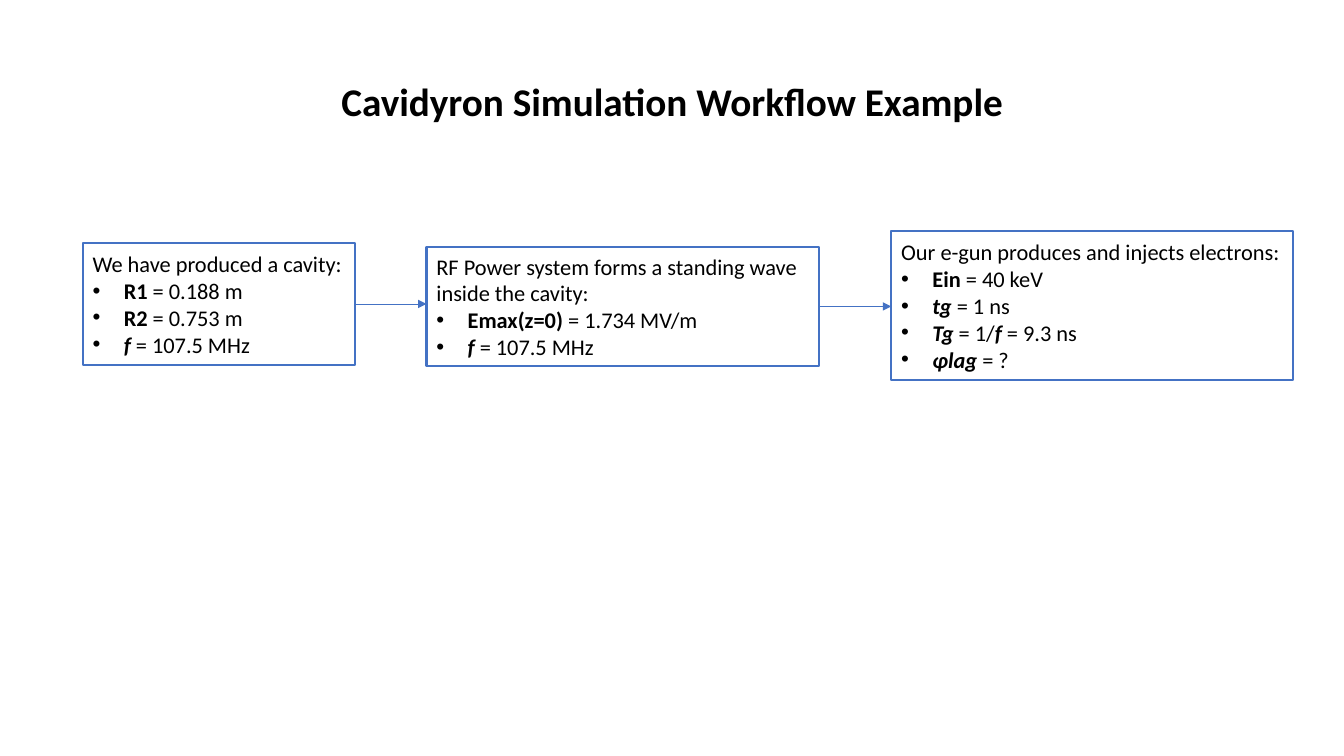
from lxml import etree
from pptx import Presentation
from pptx.dml.color import RGBColor
from pptx.enum.shapes import MSO_CONNECTOR, MSO_SHAPE
from pptx.enum.text import MSO_ANCHOR, PP_ALIGN
from pptx.oxml.ns import qn
from pptx.util import Inches, Pt

BLUE = RGBColor(0x44, 0x72, 0xC4)
BLACK = RGBColor(0, 0, 0)
FONT = "Calibri"
INDENT = Inches(0.31)
BOLD = {"bold": True}
SYMBOL = {"bold": True, "italic": True}

STEPS = [
    ((0.82, 2.41, 2.7, 1.21), ["We have produced a cavity:"], [
        [("R1", BOLD), (" = 0.188 m", {})],
        [("R2", BOLD), (" = 0.753 m", {})],
        [("f", SYMBOL), (" = 107.5 MHz", {})],
    ]),
    ((4.23, 2.45, 3.89, 1.18),
     ["RF Power system forms a standing wave", "inside the cavity:"], [
        [("Emax(z=0) ", BOLD), ("= 1.734 MV/m", {})],
        [("f ", SYMBOL), ("= 107.5 MHz", {})],
    ]),
    ((8.84, 2.29, 3.98, 1.48), ["Our e-gun produces and injects electrons:"], [
        [("Ein ", BOLD), ("= 40 keV", {})],
        [("tg ", SYMBOL), ("= 1 ns", {})],
        [("Tg ", SYMBOL), ("= 1/", {}), ("f ", SYMBOL), ("= 9.3 ns", {})],
        [("φlag ", SYMBOL), ("= ?", {})],
    ]),
]


def add_run(p, text, size=16, bold=False, italic=False):
    r = p.add_run()
    r.text = text
    r.font.name = FONT
    r.font.size = Pt(size)
    r.font.bold = bold
    r.font.italic = italic
    r.font.color.rgb = BLACK


def add_bullet(p):
    pPr = p._p.get_or_add_pPr()
    pPr.set("marL", str(INDENT))
    pPr.set("indent", str(-INDENT))
    etree.SubElement(pPr, qn("a:buFont"), typeface="Arial")
    etree.SubElement(pPr, qn("a:buChar"), char="•")


def set_title(s, text):
    sp = s.shapes.title
    sp.left, sp.top = Inches(3.18), Inches(0.72)
    sp.width, sp.height = Inches(6.97), Inches(0.57)
    tf = sp.text_frame
    tf.word_wrap = False
    tf.vertical_anchor = MSO_ANCHOR.MIDDLE
    p = tf.paragraphs[0]
    p.alignment = PP_ALIGN.CENTER
    add_run(p, text, size=28, bold=True)


def add_step(s, box, heading, items):
    sp = s.shapes.add_shape(MSO_SHAPE.RECTANGLE, *map(Inches, box))
    sp.shadow.inherit = False
    sp.fill.background()
    sp.line.color.rgb = BLUE
    sp.line.width = Pt(1.5)
    tf = sp.text_frame
    tf.word_wrap = len(heading) > 1
    tf.vertical_anchor = MSO_ANCHOR.MIDDLE
    p = tf.paragraphs[0]
    p.alignment = PP_ALIGN.LEFT
    for i, line in enumerate(heading):
        if i:
            p.add_line_break()
        add_run(p, line)
    for item in items:
        p = tf.add_paragraph()
        add_bullet(p)
        p.alignment = PP_ALIGN.LEFT
        for text, style in item:
            add_run(p, text, **style)
    return sp


def add_arrow(s, start, end):
    y = start.top + start.height // 2
    cn = s.shapes.add_connector(
        MSO_CONNECTOR.STRAIGHT, start.left + start.width, y, end.left, y)
    cn.line.color.rgb = BLUE
    cn.line.width = Pt(0.5)
    etree.SubElement(cn.line._get_or_add_ln(), qn("a:tailEnd"), type="triangle")
    etree.SubElement(cn._element.spPr, qn("a:effectLst"))


def main():
    prs = Presentation()
    prs.slide_width, prs.slide_height = Inches(13.33), Inches(7.5)
    s = prs.slides.add_slide(prs.slide_layouts[5])
    set_title(s, "Cavidyron Simulation Workflow Example")
    steps = [add_step(s, *step) for step in STEPS]
    for start, end in zip(steps, steps[1:]):
        add_arrow(s, start, end)
    prs.save("out.pptx")


if __name__ == "__main__":
    main()
